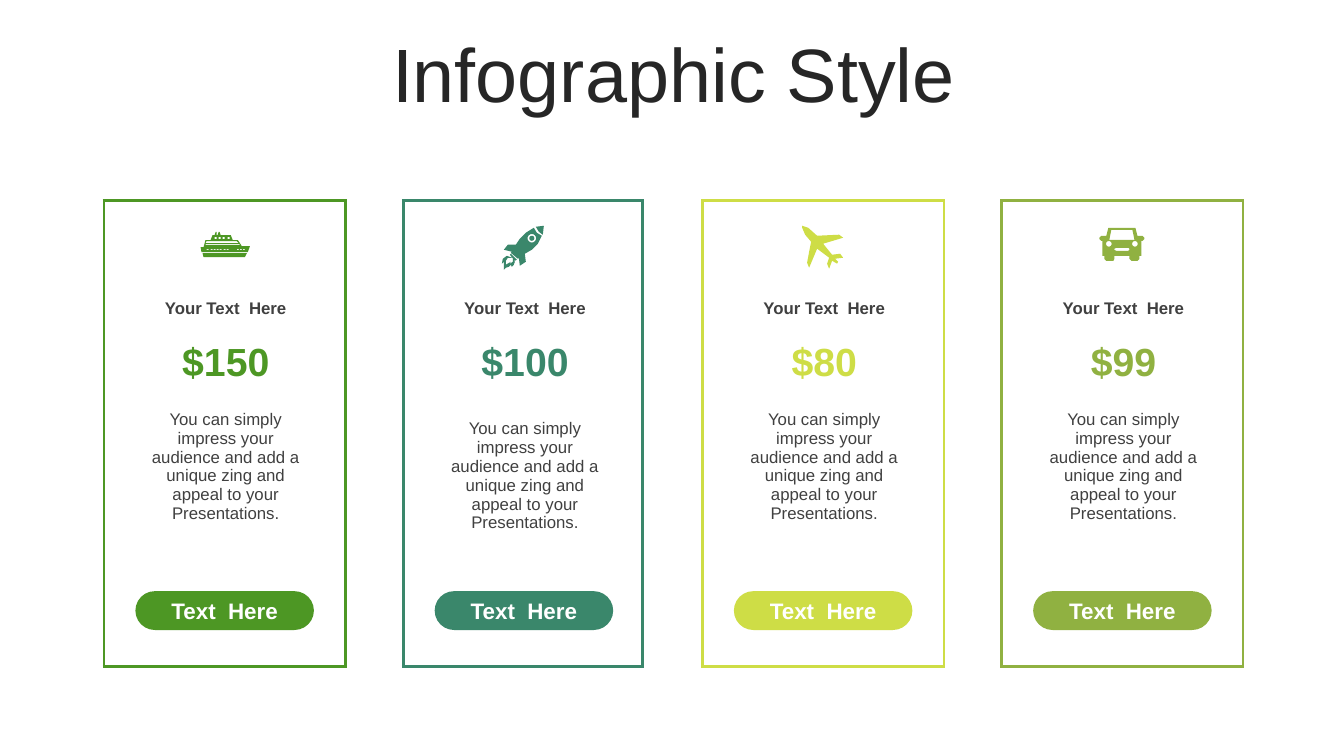
from dataclasses import dataclass
from math import cos, pi, sin

from lxml.etree import SubElement
from pptx import Presentation
from pptx.dml.color import RGBColor
from pptx.enum.shapes import MSO_SHAPE as Shape
from pptx.enum.text import MSO_ANCHOR as Anchor, PP_ALIGN as Align
from pptx.oxml.ns import qn
from pptx.util import Emu, Pt

PX = 9525
ICON_GRID = 10

WHITE = RGBColor(0xFF, 0xFF, 0xFF)
TITLE_INK = RGBColor(0x26, 0x26, 0x26)
TEXT_INK = RGBColor(0x40, 0x40, 0x40)
GREEN = RGBColor(0x4D, 0x97, 0x24)
TEAL = RGBColor(0x3A, 0x87, 0x6B)
LIME = RGBColor(0xCE, 0xDD, 0x46)
OLIVE = RGBColor(0x90, 0xB1, 0x41)

ROW_HEIGHTS = (80, 45, 60, 155, 29, 45, 29)
CARD_LEFT, CARD_TOP, CARD_STEP = 99, 191, 285
HEADING = "Your Text  Here"
BODY = ("You can simply impress your audience and add a unique zing "
        "and appeal to your Presentations.")
BUTTON = "Text  Here"


def px(value):
    return Emu(value * PX)


def box(*lengths):
    return [px(length) for length in lengths]


def rectangle(left, top, width, height):
    right, bottom = left + width, top + height
    return [(left, top), (right, top), (right, bottom), (left, bottom)]


def circle(x, y, radius, steps=16):
    angles = [2 * pi * step / steps for step in range(steps)]
    return [(x + radius * cos(angle), y + radius * sin(angle)) for angle in angles]


SHIP = [
    [(2, 21), (46, 21), (44, 25), (3, 25)],
    [(18, 0), (19, 0), (20, 3), (30, 3), (32, 8), (37, 8), (41, 14), (49, 14),
     (47, 20), (1, 20), (0, 15), (3, 15), (5, 8), (10, 8), (12, 3), (14, 3),
     (15, 0), (16, 0), (16, 3), (17, 3)],
    [(5, 12), (38, 12), (40, 13), (5, 13)],
    [(6, 9), (36, 9), (38, 11), (5, 11)],
    *[rectangle(x, 17, 2, 1) for x in (6, 10, 13, 16, 19, 23, 26, 36, 39, 42)],
    *[rectangle(x, 5, 2, 2) for x in (14, 18, 22, 27)],
]
ROCKET = [
    [(10, 32), (6, 32), (4, 35), (4, 39), (9, 36), (7, 39), (8, 38), (11, 36),
     (11, 33), (13, 36), (12, 39), (10, 41), (9, 39), (7, 41), (4, 42), (2, 44),
     (2, 36), (0, 38), (1, 33), (5, 30)],
    [(9, 28), (15, 34), (13, 35), (8, 29)],
    [(32, 2), (35, 7), (40, 10), (36, 18), (30, 24), (23, 28), (24, 36), (18, 40),
     (17, 32), (16, 33), (9, 27), (10, 26), (2, 24), (6, 19), (14, 19), (18, 13),
     (24, 7)],
    circle(30, 12.5, 4.3),
    circle(30, 12.5, 2.5),
    [(42, 0), (41, 9), (37, 6), (34, 1)],
]
PLANE = [
    [(42, 32), (34, 33), (37, 36), (36, 38), (31, 35), (28, 43), (26, 38), (28, 32),
     (16, 23), (8, 42), (6, 37), (8, 26), (10, 16), (4, 9), (1, 2), (1, 0),
     (7, 2), (16, 10), (38, 9), (42, 12), (22, 18), (31, 29), (39, 28)],
]
CAR = [
    [(9, 0), (36, 0), (38, 8), (43, 8), (45, 10), (45, 11), (43, 13), (42, 13),
     (42, 28), (40, 28), (40, 31), (38, 33), (32, 33), (30, 31), (30, 28), (15, 28),
     (15, 31), (14, 33), (7, 33), (5, 31), (5, 28), (3, 28), (3, 13), (2, 13),
     (0, 11), (0, 10), (2, 8), (7, 8)],
    [(12, 2), (10, 12), (35, 12), (33, 2)],
    [(17, 20), (15, 21), (15, 22), (17, 23), (29, 23), (30, 22), (30, 21), (29, 20)],
    circle(35.5, 16, 2.8),
    circle(9.5, 16, 2.8),
]


@dataclass
class Card:
    price: str
    color: RGBColor
    icon: list
    icon_box: tuple  # left, top and width inside the card
    right_column: int = 27
    body_bottom: int = 23


CARDS = (
    Card("$150", GREEN, SHIP, (92, 30, 47)),
    Card("$100", TEAL, ROCKET, (94, 24, 40), right_column=25, body_bottom=5),
    Card("$80", LIME, PLANE, (94, 24, 40)),
    Card("$99", OLIVE, CAR, (93, 26, 43)),
)


def write(frame, text, size, color, bold=False):
    frame.text = text
    paragraph = frame.paragraphs[0]
    paragraph.alignment = Align.CENTER
    font = paragraph.runs[0].font
    for name, value in {"name": "Arial", "size": Pt(size), "bold": bold}.items():
        setattr(font, name, value)
    font.color.rgb = color
    return paragraph


def paint(shape, color):
    shape.shadow.inherit = False
    shape.fill.solid()
    shape.fill.fore_color.rgb = color
    shape.line.fill.background()


def set_borders(cell, outer_sides, color):
    properties = cell._tc.get_or_add_tcPr()
    for side in "LRTB":
        line = SubElement(properties, qn(f"a:ln{side}"), w=str(Pt(2.25)))
        if side in outer_sides:
            fill = SubElement(line, qn("a:solidFill"))
            SubElement(fill, qn("a:srgbClr"), val=str(color))
        else:
            SubElement(line, qn("a:noFill"))


def add_panel(slide, left, top, card):
    """Place the framed table with the heading, price and body of a card."""
    widths = (29, 174, card.right_column)
    last_row, last_column = len(ROW_HEIGHTS) - 1, len(widths) - 1
    table = slide.shapes.add_table(
        len(ROW_HEIGHTS), len(widths),
        *box(left, top, sum(widths), sum(ROW_HEIGHTS))).table
    table.first_row = table.horz_banding = False
    for column, width in zip(table.columns, widths):
        column.width = px(width)
    texts = {
        (1, 1): (HEADING, 12, TEXT_INK, True),
        (2, 1): (card.price, 28, card.color, True),
        (3, 1): (BODY, 12, TEXT_INK),
    }
    for y, height in enumerate(ROW_HEIGHTS):
        table.rows[y].height = px(height)
        for x in range(len(widths)):
            cell = table.cell(y, x)
            edges = {"L": x == 0, "R": x == last_column, "T": y == 0, "B": y == last_row}
            set_borders(cell, [side for side, outer in edges.items() if outer], card.color)
            cell.fill.solid()
            cell.fill.fore_color.rgb = WHITE
            cell.vertical_anchor = Anchor.MIDDLE
            if (y, x) in texts:
                write(cell.text_frame, *texts[y, x])
            else:
                for side in ("left", "right", "top", "bottom"):
                    setattr(cell, f"margin_{side}", 0)
    table.cell(3, 1).margin_bottom = px(card.body_bottom)


def add_button(slide, left, top, color):
    button = slide.shapes.add_shape(Shape.ROUNDED_RECTANGLE, *box(left, top, 170, 37))
    button.adjustments[0] = 0.5
    paint(button, color)
    button.text_frame.vertical_anchor = Anchor.MIDDLE
    write(button.text_frame, BUTTON, 16, WHITE, True)


def add_icon(slide, contours, left, top, width, color):
    """Draw the contours as one outline; inner contours become holes."""
    grid_width = max(x for contour in contours for x, _ in contour) * ICON_GRID
    builder = None
    for contour in contours:
        start, *rest = [(x * ICON_GRID, y * ICON_GRID) for x, y in contour]
        if builder is None:
            builder = slide.shapes.build_freeform(*start, scale=px(width) / grid_width)
        else:
            builder.move_to(*start)
        builder.add_line_segments(rest, close=True)
    paint(builder.convert_to_shape(px(left), px(top)), color)


def add_card(slide, left, top, card):
    add_panel(slide, left, top, card)
    add_button(slide, left + 30, top + 372, card.color)
    icon_left, icon_top, icon_width = card.icon_box
    add_icon(slide, card.icon, left + icon_left, top + icon_top, icon_width, card.color)


def set_title(slide, left, top, width, height):
    title = slide.shapes.title
    title.left, title.top, title.width, title.height = box(left, top, width, height)
    title.text_frame.vertical_anchor = Anchor.MIDDLE
    write(title.text_frame, "Infographic Style", 54, TITLE_INK).line_spacing = 0.9


def main():
    presentation = Presentation()
    presentation.slide_width, presentation.slide_height = box(1280, 720)
    slide = presentation.slides.add_slide(presentation.slide_layouts[5])
    set_title(slide, 34, 36, 1215, 76)
    for index, card in enumerate(CARDS):
        add_card(slide, CARD_LEFT + index * CARD_STEP, CARD_TOP, card)
    presentation.save("out.pptx")


if __name__ == "__main__":
    main()
